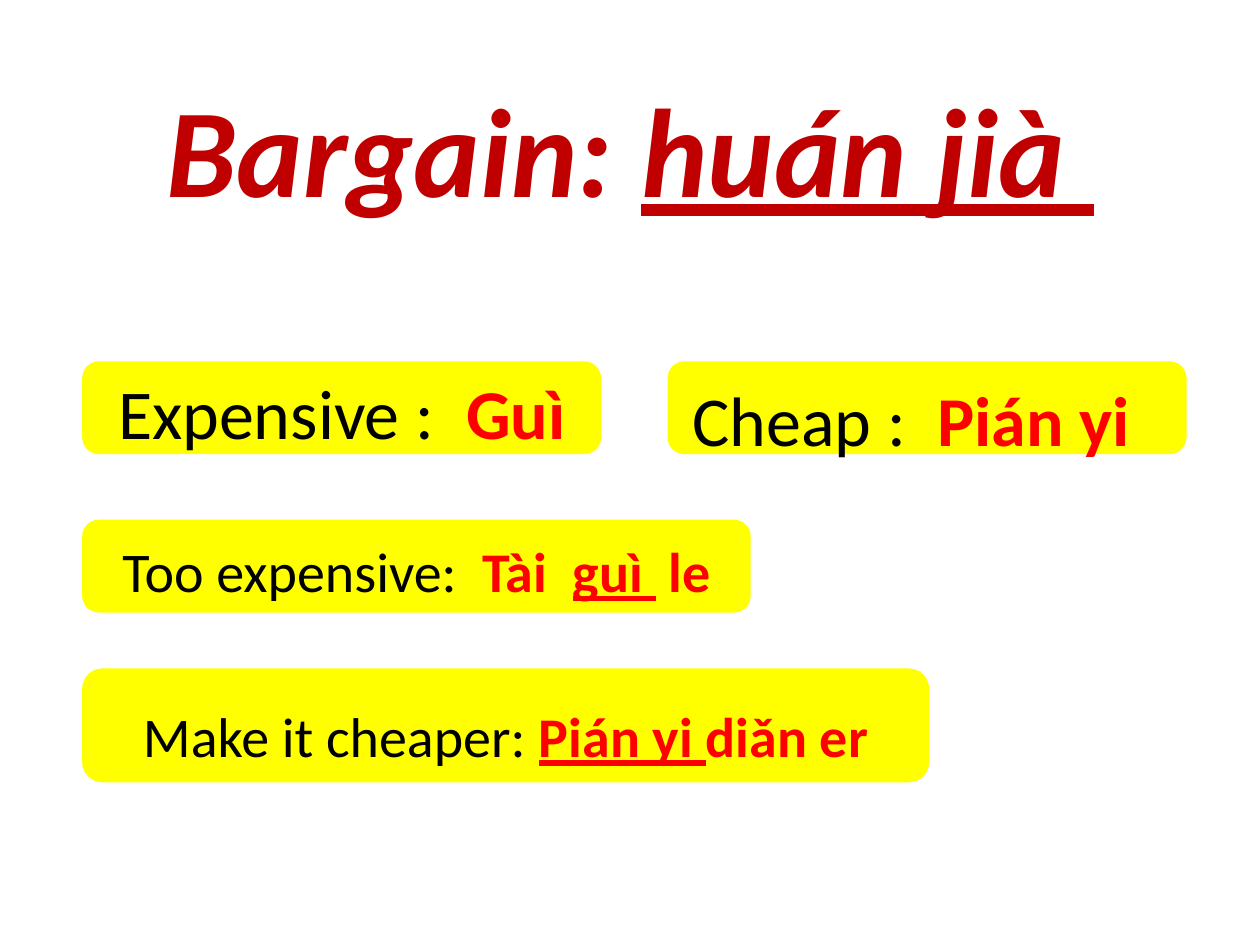
from pptx import Presentation
from pptx.dml.color import RGBColor
from pptx.enum.shapes import MSO_SHAPE as Shape
from pptx.enum.text import MSO_ANCHOR as Anchor, PP_ALIGN as Align
from pptx.util import Pt

COLORS = {"title": "C00000", "card": "FFFF00", "english": "000000", "pinyin": "FF0000"}

# Run formats
TITLE = {"bold": True, "italic": True}
ENGLISH = {}
PINYIN = {"bold": True}
UNDERLINED = {"underline": True}


class SlideBuilder:
    font_name = "Calibri"

    def __init__(self, slide):
        self.slide = slide

    def color(self, name):
        return RGBColor.from_string(COLORS[name])

    def add_line(self, shape, runs, size, drop):
        """Centre one line of runs, lowered by drop points from the middle."""
        frame = shape.text_frame
        settings = {"word_wrap": True, "vertical_anchor": Anchor.MIDDLE,
                    "margin_top": Pt(2 * drop), "margin_bottom": 0}
        for name, value in settings.items():
            setattr(frame, name, value)
        paragraph = frame.paragraphs[0]
        paragraph.alignment = Align.CENTER
        for text, color, style in runs:
            run = paragraph.add_run()
            run.text = text
            font_format = {"name": self.font_name, "size": Pt(size), **style}
            for name, value in font_format.items():
                setattr(run.font, name, value)
            run.font.color.rgb = self.color(color)

    def title(self, box, runs, size, drop):
        shape = self.slide.shapes.add_textbox(*map(Pt, box))
        self.add_line(shape, runs, size, drop)

    def card(self, box, runs, size, drop):
        shape = self.slide.shapes.add_shape(Shape.ROUNDED_RECTANGLE, *map(Pt, box))
        shape.shadow.inherit = False
        shape.fill.solid()
        shape.fill.fore_color.rgb = self.color("card")
        shape.line.color.rgb = self.color("card")
        shape.line.width = Pt(2)
        self.add_line(shape, runs, size, drop)


def main():
    presentation = Presentation()
    presentation.slide_width, presentation.slide_height = Pt(720), Pt(540)
    builder = SlideBuilder(presentation.slides.add_slide(presentation.slide_layouts[6]))

    # Title
    builder.title((0, 32, 720, 96), [
        ("Bargain: ", "title", TITLE),
        ("huán jià ", "title", {**TITLE, **UNDERLINED}),
    ], 72, 4)

    # Vocabulary cards
    left, height = 48, 51
    word_top, word_width = 207.5, 294.5
    builder.card((left, word_top, word_width, height), [
        ("Expensive :  ", "english", ENGLISH),
        ("Guì", "pinyin", PINYIN),
    ], 40, 2)
    builder.card((382.5, word_top, word_width, height), [
        ("Cheap :  ", "english", ENGLISH),
        ("Pián yi  ", "pinyin", PINYIN),
    ], 40, 6)

    # Phrase cards
    builder.card((left, 298, 380, height), [
        ("Too expensive:  ", "english", ENGLISH),
        ("Tài  ", "pinyin", PINYIN),
        ("guì ", "pinyin", {**PINYIN, **UNDERLINED}),
        (" le", "pinyin", PINYIN),
    ], 32, 2.5)
    builder.card((left, 383, 482, 63), [
        ("Make it cheaper: ", "english", ENGLISH),
        ("Pián yi ", "pinyin", {**PINYIN, **UNDERLINED}),
        ("diǎn er", "pinyin", PINYIN),
    ], 32, 5.5)

    presentation.save("out.pptx")


if __name__ == "__main__":
    main()
